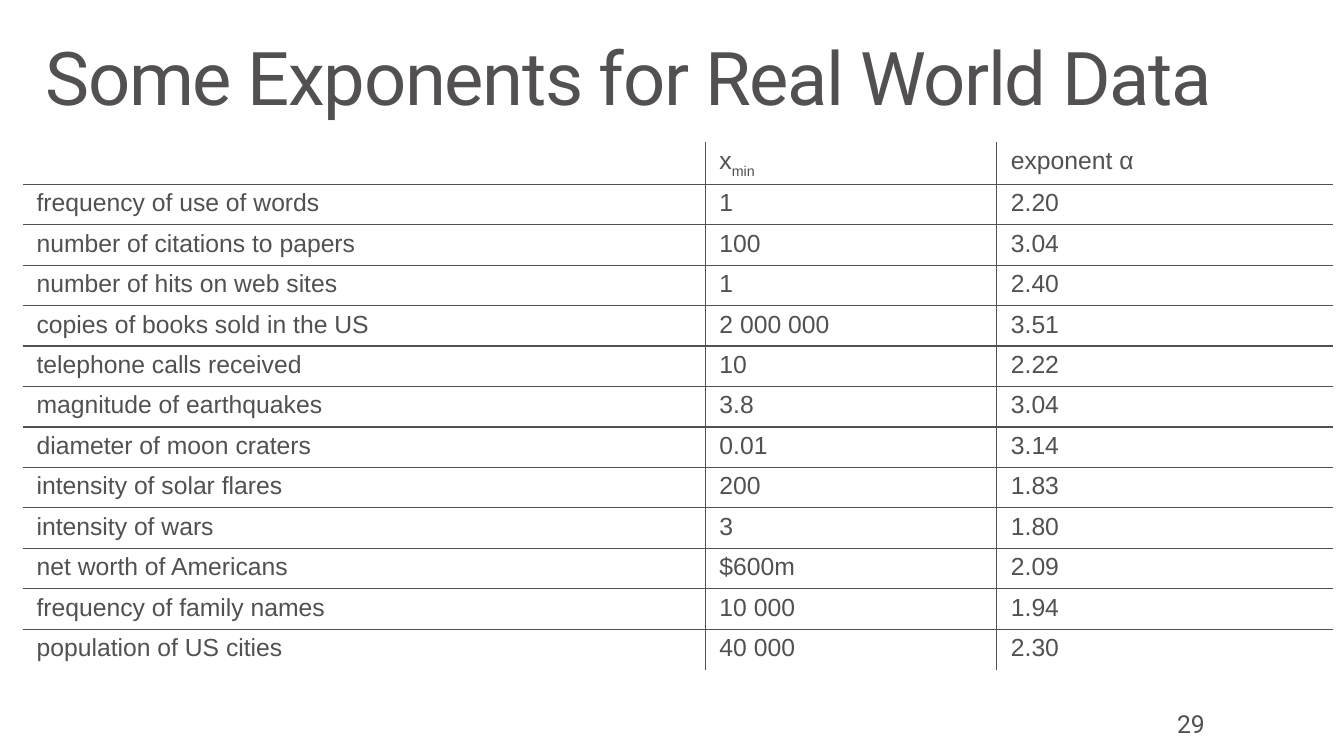
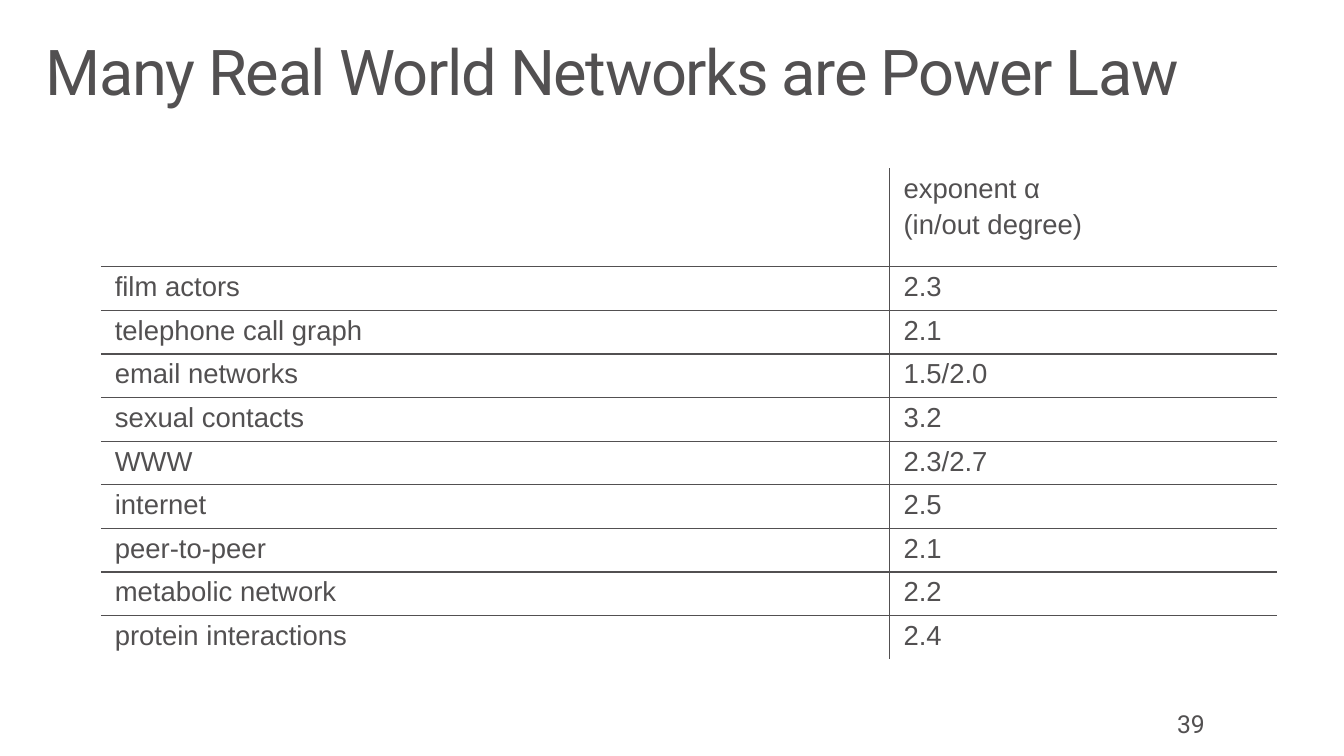
import pptx
import pptx.util
import pptx.dml.color
import pptx.enum.text
import pptx.oxml
import pptx.oxml.ns

Cm, Pt = pptx.util.Cm, pptx.util.Pt
INK = pptx.dml.color.RGBColor(0x52, 0x50, 0x51)
HEADING_FONT, TABLE_FONT = "Roboto", "Arial"


def write(frame, text, size, font, tracking=0, line_spacing=None):
    frame.word_wrap = True
    for index, line in enumerate(text.split("\n")):
        paragraph = frame.add_paragraph() if index else frame.paragraphs[0]
        paragraph.alignment = pptx.enum.text.PP_ALIGN.LEFT
        paragraph.line_spacing = line_spacing
        if index:
            paragraph.space_before = Pt(size * 0.2)
        for level, part in enumerate(line.split("_")):
            run = paragraph.add_run()
            run.text = part
            run.font.size = Pt(size)
            run.font.name = font
            run.font.color.rgb = INK
            properties = run._r.get_or_add_rPr()
            if tracking:
                properties.set("spc", str(tracking * 100))
            if level:
                properties.set("baseline", "-25000")


def rule_cell(cell, visible_sides):
    properties = cell._tc.get_or_add_tcPr()
    for side in "LRTB":
        fill = f'<a:solidFill><a:srgbClr val="{INK}"/></a:solidFill>' if side in visible_sides else "<a:noFill/>"
        properties.append(pptx.oxml.parse_xml(
            f'<a:ln{side} {pptx.oxml.ns.nsdecls("a")} w="12700">{fill}</a:ln{side}>'))
    cell.fill.background()


pages = [
    dict(
        title="Some Exponents for Real World Data", title_size=54, number="29",
        left=0.58, top=3.66, widths=[17.55, 7.49, 8.64],
        header_height=1.04, row_height=1.04, text_size=18,
        rows=[
            ("", "x_min", "exponent α"),
            ("frequency of use of words", "1", "2.20"),
            ("number of citations to papers", "100", "3.04"),
            ("number of hits on web sites", "1", "2.40"),
            ("copies of books sold in the US", "2 000 000", "3.51"),
            ("telephone calls received", "10", "2.22"),
            ("magnitude of earthquakes", "3.8", "3.04"),
            ("diameter of moon craters", "0.01", "3.14"),
            ("intensity of solar flares", "200", "1.83"),
            ("intensity of wars", "3", "1.80"),
            ("net worth of Americans", "$600m", "2.09"),
            ("frequency of family names", "10 000", "1.94"),
            ("population of US cities", "40 000", "2.30"),
        ],
    ),
    dict(
        title="Many Real World Networks are Power Law", title_size=46, number="39",
        left=2.59, top=4.32, widths=[20.27, 9.96],
        header_height=2.54, row_height=1.12, text_size=20,
        rows=[
            ("", "exponent α\n(in/out degree)"),
            ("film actors", "2.3"),
            ("telephone call graph", "2.1"),
            ("email networks", "1.5/2.0"),
            ("sexual contacts", "3.2"),
            ("WWW", "2.3/2.7"),
            ("internet", "2.5"),
            ("peer-to-peer", "2.1"),
            ("metabolic network", "2.2"),
            ("protein interactions", "2.4"),
        ],
    ),
]

deck = pptx.Presentation()
deck.slide_width, deck.slide_height = Cm(34.54), Cm(19.43)

layout = deck.slide_layouts[5]
heading = layout.placeholders[0]
heading.left, heading.top, heading.width, heading.height = Cm(0.76), Cm(0.81), Cm(33.02), Cm(2.54)
heading_frame = heading.text_frame
heading_frame.auto_size = pptx.enum.text.MSO_AUTO_SIZE.NONE
heading_frame.vertical_anchor = pptx.enum.text.MSO_ANCHOR.TOP
heading_frame.margin_left = heading_frame.margin_right = Cm(0.41)
heading_frame.margin_top = heading_frame.margin_bottom = Cm(0.25)

for page in pages:
    slide = deck.slides.add_slide(layout)
    write(slide.shapes.title.text_frame, page["title"], page["title_size"], HEADING_FONT,
          tracking=-1, line_spacing=0.9)

    rows, widths = page["rows"], page["widths"]
    heights = [page["header_height"]] + [page["row_height"]] * (len(rows) - 1)
    exponents = slide.shapes.add_table(
        len(rows), len(widths), Cm(page["left"]), Cm(page["top"]),
        Cm(sum(widths)), Cm(sum(heights))).table
    exponents.first_row = exponents.horz_banding = False
    for column, width in zip(exponents.columns, widths):
        column.width = Cm(width)
    for row, height in zip(exponents.rows, heights):
        row.height = Cm(height)

    for r, entries in enumerate(rows):
        for c, entry in enumerate(entries):
            cell = exponents.cell(r, c)
            cell.margin_left = cell.margin_right = Cm(0.36)
            cell.margin_top = cell.margin_bottom = Cm(0.13)
            inner = {"L": c > 0, "R": c < len(widths) - 1, "T": r > 0, "B": r < len(rows) - 1}
            rule_cell(cell, [side for side, shown in inner.items() if shown])
            if entry:
                write(cell.text_frame, entry, page["text_size"], TABLE_FONT)

    page_number = slide.shapes.add_textbox(Cm(29.95), Cm(18.08), Cm(2.87), Cm(1.35)).text_frame
    page_number.margin_left = page_number.margin_right = Cm(0.3)
    page_number.margin_top = page_number.margin_bottom = Cm(0.15)
    write(page_number, page["number"], 18, HEADING_FONT)

deck.save("out.pptx")
